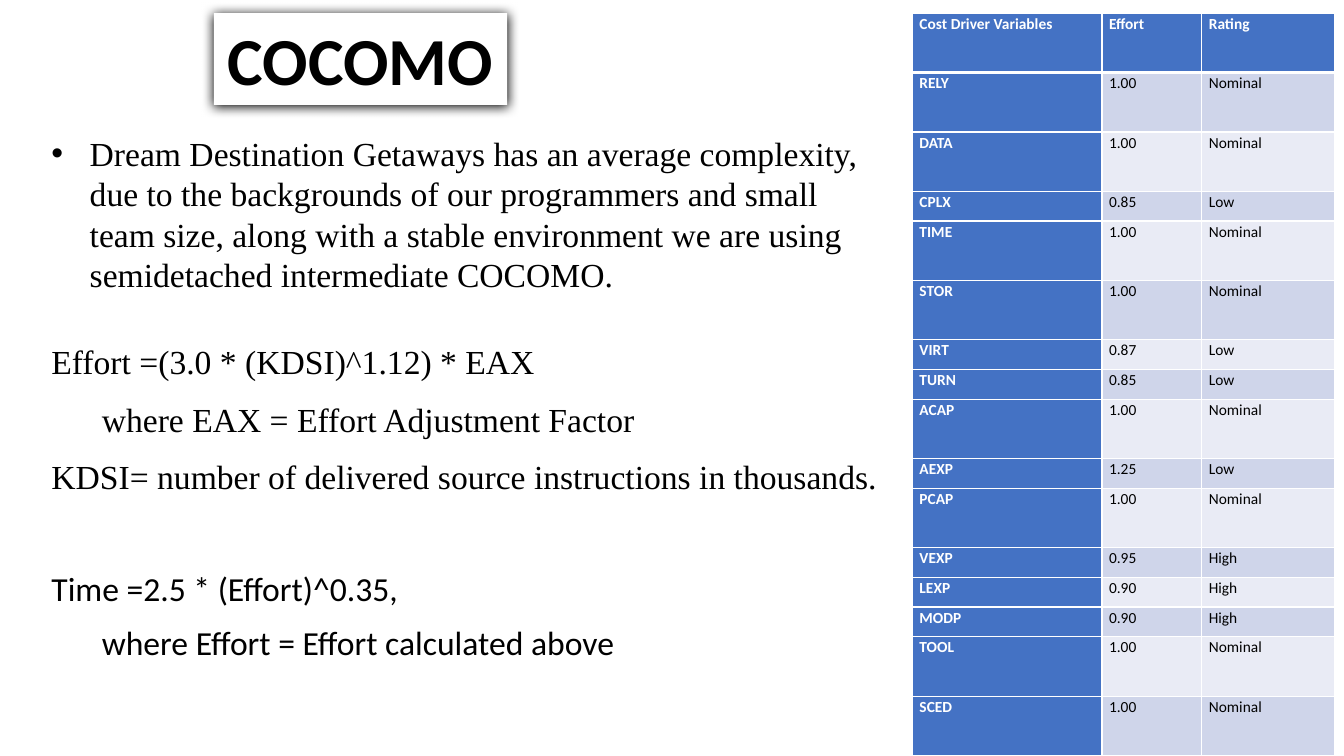
from lxml import etree
from pptx import Presentation
from pptx.dml.color import RGBColor
from pptx.enum.text import MSO_ANCHOR, MSO_AUTO_SIZE, PP_ALIGN
from pptx.oxml import parse_xml
from pptx.oxml.ns import nsdecls, qn
from pptx.util import Inches, Pt

BLACK = RGBColor(0x00, 0x00, 0x00)
WHITE = RGBColor(0xFF, 0xFF, 0xFF)
BLUE = RGBColor(0x44, 0x72, 0xC4)
BAND_DARK = RGBColor(0xCF, 0xD5, 0xEA)
BAND_LIGHT = RGBColor(0xE9, 0xEB, 0xF5)
SERIF, SANS = "Times New Roman", "Calibri"


def write(p, text, font, para):
    """Add one formatted run to a paragraph."""
    r = p.add_run()
    r.text = text
    r.font.color.rgb = font["color"]
    for key in ("name", "size", "bold"):
        setattr(r.font, key, font[key])
    for key, value in para.items():
        setattr(p, key, value)


def place(sp, left, top, width, height):
    """Move a shape, in inches."""
    sp.left, sp.top, sp.width, sp.height = map(Inches, (left, top, width, height))


prs = Presentation()
prs.slide_width, prs.slide_height = Inches(13.33), Inches(7.5)
s = prs.slides.add_slide(prs.slide_layouts[1])
title, body = s.placeholders

# Title: white card of fixed size with a soft shadow
place(title, 2.12, 0.13, 2.91, 0.91)
title.fill.solid()
title.fill.fore_color.rgb = WHITE
title.element.spPr.append(parse_xml(
    f'<a:effectLst {nsdecls("a")}><a:outerShdw blurRad="{Pt(8.5)}" dist="{Pt(1)}" '
    'dir="5400000" algn="t" rotWithShape="0"><a:srgbClr val="000000"/>'
    '</a:outerShdw></a:effectLst>'))
tf = title.text_frame
tf.word_wrap = True
tf.auto_size = MSO_AUTO_SIZE.NONE
tf.vertical_anchor = MSO_ANCHOR.TOP
tf.margin_left = tf.margin_right = Inches(0.05)
write(tf.paragraphs[0], "COCOMO",
      dict(name=SANS, size=Pt(48), bold=True, color=BLACK),
      dict(alignment=PP_ALIGN.CENTER))

# Body: text, font, left margin, first-line indent, line spacing, before, after
lines = [
    ("Dream Destination Getaways has an average complexity, due to the "
     "backgrounds of our programmers and small team size, along with a stable "
     "environment we are using semidetached intermediate COCOMO.",
     SERIF, 0.38, -0.38, 1.0, 0, 0),
    ("Effort =(3.0 * (KDSI)^1.12) * EAX", SERIF, 0, 0, 1.15, 29, 8),
    ("where EAX = Effort Adjustment Factor", SERIF, 0, 0.5, 1.15, 0, 8),
    ("KDSI= number of delivered source instructions in thousands.",
     SERIF, 0, 0, 1.15, 0, 8),
    ("Time =2.5 * (Effort)^0.35,", SANS, 0, 0, 1.07, 41, 8),
    ("where Effort = Effort calculated above", SANS, 0, 0.5, 1.07, 0, 8),
]
place(body, 0.41, 1.27, 8.45, 5.82)
tf = body.text_frame
tf.word_wrap = True
tf.auto_size = MSO_AUTO_SIZE.NONE
for i, (text, face, margin, indent, spacing, before, after) in enumerate(lines):
    p = tf.paragraphs[0] if i == 0 else tf.add_paragraph()
    pPr = p._p.get_or_add_pPr()
    pPr.set("marL", str(Inches(margin)))
    pPr.set("indent", str(Inches(indent)))
    if indent < 0:
        etree.SubElement(pPr, qn("a:buFont")).set("typeface", "Arial")
        etree.SubElement(pPr, qn("a:buChar")).set("char", "•")
    else:
        etree.SubElement(pPr, qn("a:buNone"))
    write(p, text, dict(name=face, size=Pt(24), bold=False, color=BLACK),
          dict(line_spacing=spacing, space_before=Pt(before), space_after=Pt(after)))

# Cost driver table: "Nominal" rows and the header are two units high
drivers = [
    ("Cost Driver Variables", "Effort", "Rating"),
    ("RELY", "1.00", "Nominal"),
    ("DATA", "1.00", "Nominal"),
    ("CPLX", "0.85", "Low"),
    ("TIME", "1.00", "Nominal"),
    ("STOR", "1.00", "Nominal"),
    ("VIRT", "0.87", "Low"),
    ("TURN", "0.85", "Low"),
    ("ACAP", "1.00", "Nominal"),
    ("AEXP", "1.25", "Low"),
    ("PCAP", "1.00", "Nominal"),
    ("VEXP", "0.95", "High"),
    ("LEXP", "0.90", "High"),
    ("MODP", "0.90", "High"),
    ("TOOL", "1.00", "Nominal"),
    ("SCED", "1.00", "Nominal"),
]
units = [2 if row[2] in ("Rating", "Nominal") else 1 for row in drivers]
table_height = Inches(7.37)
unit = table_height // sum(units)
table = s.shapes.add_table(len(drivers), 3, Inches(9.05), Inches(0.13),
                           Inches(4.19), table_height).table
table.first_col = True
for column, width in zip(table.columns, (1.88, 0.99, 1.32)):
    column.width = Inches(width)

for i, row in enumerate(drivers):
    table.rows[i].height = unit * units[i]
    for j, text in enumerate(row):
        cell = table.cell(i, j)
        heading = i == 0 or j == 0
        tcPr = cell._tc.get_or_add_tcPr()
        for side in "LRTB":
            # The rule under the header is heavier
            heavy = (i, side) in ((0, "B"), (1, "T"))
            tcPr.append(parse_xml(
                f'<a:ln{side} {nsdecls("a")} w="{Pt(3 if heavy else 1)}"><a:solidFill>'
                f'<a:srgbClr val="{WHITE}"/></a:solidFill></a:ln{side}>'))
        cell.fill.solid()
        cell.fill.fore_color.rgb = BLUE if heading else (BAND_DARK if i % 2 else BAND_LIGHT)
        cell.margin_left = cell.margin_right = Inches(0.07)
        cell.margin_top = cell.margin_bottom = 0
        write(cell.text_frame.paragraphs[0], text,
              dict(name=SANS, size=Pt(11), bold=heading,
                   color=WHITE if heading else BLACK),
              dict(line_spacing=1.07))

prs.save("out.pptx")
